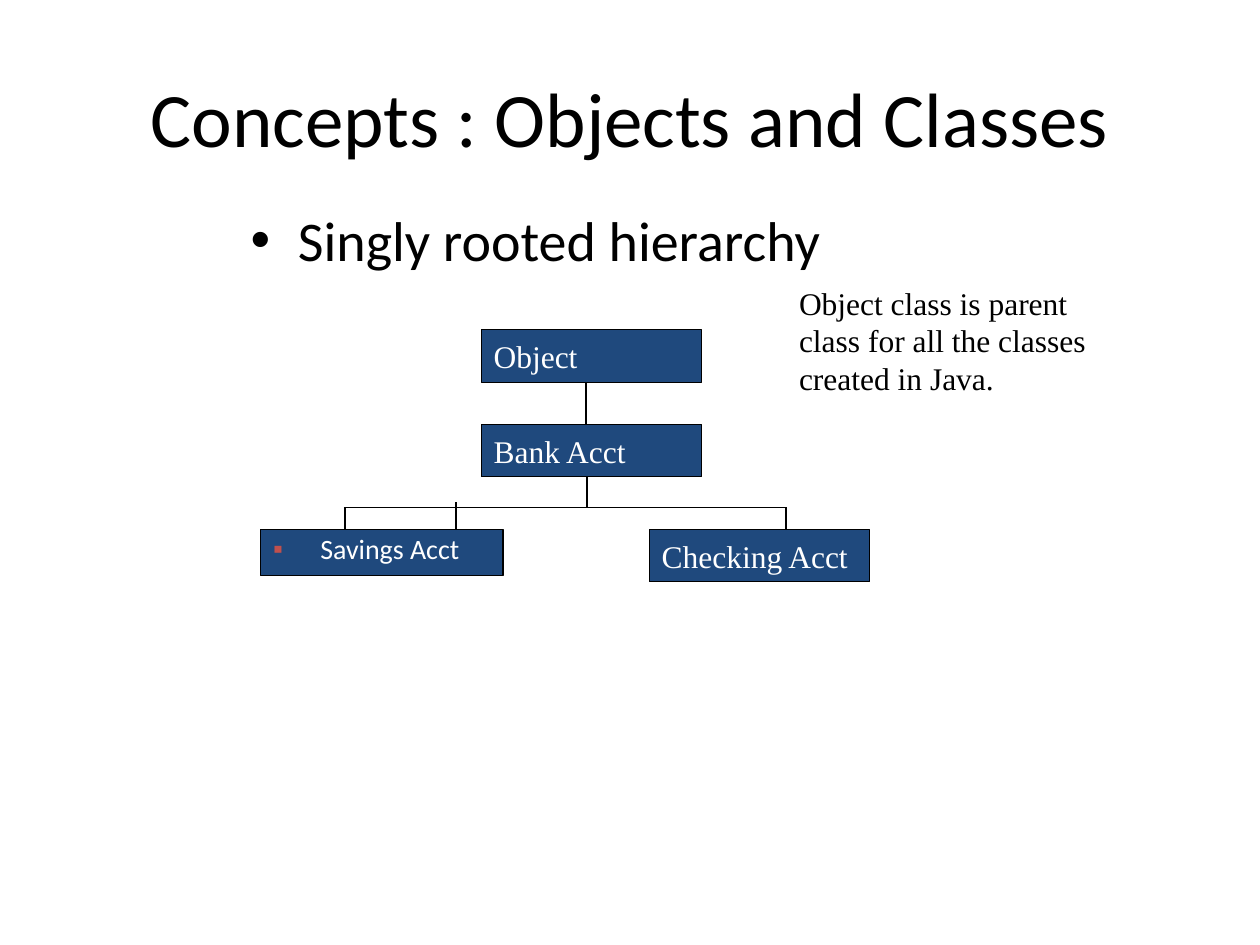
from lxml import etree
from pptx import Presentation
from pptx import util as u
from pptx.dml.color import RGBColor
from pptx.enum import shapes, text
from pptx.oxml.ns import qn

BLACK, WHITE, NAVY, RED = "000000", "FFFFFF", "1F497D", "C0504D"
SERIF = {"name": "Times New Roman", "size": u.Pt(18)}
MIDDLE, CENTER = text.MSO_ANCHOR.MIDDLE, text.PP_ALIGN.CENTER

# Text, place (left, top, width, height), font, other formats
TEXTS = [
    ("Concepts : Objects and Classes", (36, 21.6, 648, 90),
     {"name": "Calibri", "size": u.Pt(44)}, {"align": CENTER, "anchor": MIDDLE}),
    ("Singly rooted hierarchy ", (37.5, 114, 544.5, 57),
     {"name": "Calibri", "size": u.Pt(32)}, {"align": CENTER, "bullet": ("•", BLACK)}),
    ("Object class is parent class for all the classes created in Java.",
     (449.5, 158.5, 203.5, 122.5), SERIF, {}),
]

BOX_W, BOX_H = 126, 30
ROOT_X, ROOT_Y, PARENT_Y = 275, 188.5, 242.5
CHILD_Y, BUS_Y = 302.5, 290
NODES = [
    ("Object", (ROOT_X, ROOT_Y, BOX_W, BOX_H), SERIF, {"anchor": MIDDLE, "wrap": False}),
    ("Bank Acct", (ROOT_X, PARENT_Y, BOX_W, BOX_H), SERIF, {"anchor": MIDDLE, "wrap": False}),
    ("Savings Acct", (149, CHILD_Y, 138.5, 26.5), {"name": "Calibri", "size": u.Pt(16)},
     {"bullet": ("▪", RED), "spacing": 0.9}),
    ("Checking Acct", (371, CHILD_Y, BOX_W, BOX_H), SERIF, {"anchor": MIDDLE, "wrap": False}),
]

BUS = (196.5, BUS_Y, 448.5, BUS_Y)
DROPS = [  # x, top, bottom
    (334.8, ROOT_Y + BOX_H, PARENT_Y),
    (335.5, PARENT_Y + BOX_H, BUS_Y),
    (197.2, BUS_Y, CHILD_Y),
    (449.2, BUS_Y, CHILD_Y),
    (260.6, 287, 305),
]


def rgb(value):
    """Turn a hex string into a colour."""
    return RGBColor.from_string(value)


def pts(values):
    """Turn numbers into lengths in points."""
    return [u.Pt(v) for v in values]


def add_bullet(p, char, color):
    """Give a paragraph a coloured bullet and a hanging indent."""
    pPr = p._p.get_or_add_pPr()
    pPr.set("marL", str(u.Pt(27)))
    pPr.set("indent", str(u.Pt(-27)))
    clr = etree.SubElement(pPr, qn("a:buClr"))
    etree.SubElement(clr, qn("a:srgbClr"), val=color)
    etree.SubElement(pPr, qn("a:buFont"), typeface="Arial")
    etree.SubElement(pPr, qn("a:buChar"), char=char)


def write(sp, words, font, color, align=text.PP_ALIGN.LEFT, anchor=text.MSO_ANCHOR.TOP,
          wrap=True, bullet=None, spacing=None):
    """Write one formatted paragraph into a shape."""
    tf = sp.text_frame
    tf.word_wrap, tf.vertical_anchor = wrap, anchor
    p = tf.paragraphs[0]
    p.alignment = align
    if spacing:
        p.line_spacing = spacing
    if bullet:
        add_bullet(p, *bullet)
    r = p.add_run()
    r.text = words
    for key, value in font.items():
        setattr(r.font, key, value)
    r.font.color.rgb = rgb(color)


def add_line(s, ends):
    """Draw a thin black line without a shadow."""
    line = s.shapes.add_connector(shapes.MSO_CONNECTOR.STRAIGHT, *pts(ends))
    line.line.width = u.Pt(0.75)
    line.line.color.rgb = rgb(BLACK)
    etree.SubElement(line._element.spPr, qn("a:effectLst"))


def add_node(s, words, place, font, formats):
    """Draw one class of the hierarchy."""
    sp = s.shapes.add_shape(shapes.MSO_SHAPE.RECTANGLE, *pts(place))
    sp.shadow.inherit = False
    sp.fill.solid()
    sp.fill.fore_color.rgb = rgb(NAVY)
    sp.line.color.rgb = rgb(BLACK)
    sp.line.width = u.Pt(0.75)
    write(sp, words, font, WHITE, **formats)


prs = Presentation()
prs.slide_width, prs.slide_height = pts((720, 540))
s = prs.slides.add_slide(prs.slide_layouts[6])

for words, place, font, formats in TEXTS:
    write(s.shapes.add_textbox(*pts(place)), words, font, BLACK, **formats)
add_line(s, BUS)
for x, top, bottom in DROPS:
    add_line(s, (x, top, x, bottom))
for node in NODES:
    add_node(s, *node)

prs.save("out.pptx")
